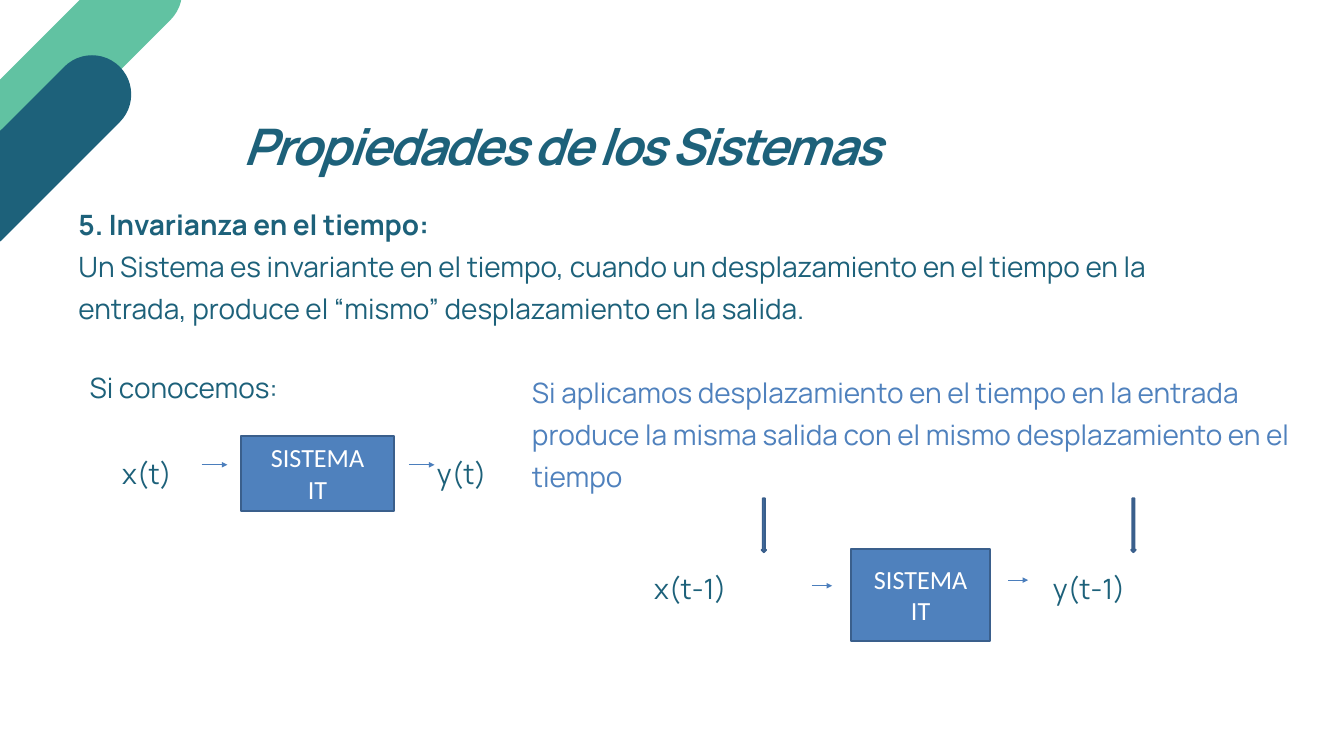
from lxml.etree import SubElement
from pptx import Presentation
from pptx.dml.color import RGBColor
from pptx.enum.shapes import MSO_CONNECTOR, MSO_SHAPE
from pptx.enum.text import MSO_ANCHOR, MSO_AUTO_SIZE, PP_ALIGN
from pptx.oxml.ns import qn
from pptx.util import Inches, Pt

TEAL, GREEN, BLUE, EDGE, WIRE = "1D617A", "61C2A2", "4F81BD", "3A5F8C", "4B7EBC"

deck = Presentation()
deck.slide_width, deck.slide_height = Inches(20), Inches(11.25)
CELL = deck.slide_width / 120  # square grid: 120 columns by 67.5 rows
slide = deck.slides.add_slide(deck.slide_layouts[5])
shapes = slide.shapes


def grid(*cells):
    return [round(n * CELL) for n in cells]


def write(shape, *lines, size=30, font="Manrope", color=TEAL, bold=(), italic=False,
          align=PP_ALIGN.LEFT, anchor=MSO_ANCHOR.TOP, pitch=45, inset=0):
    """Fill the shape with one paragraph per line; bold lists the bold line numbers."""
    frame = shape.text_frame
    frame.word_wrap = True
    frame.auto_size = MSO_AUTO_SIZE.NONE
    frame.vertical_anchor = anchor
    frame.margin_left = frame.margin_right = Inches(inset)
    frame.margin_top = frame.margin_bottom = Inches(inset / 2)
    frame.text = "\n".join(lines)
    for i, par in enumerate(frame.paragraphs):
        par.alignment = align
        if pitch:
            par.line_spacing = Pt(pitch)
        face = par.runs[0].font
        face.name, face.size = font, Pt(size)
        face.bold, face.italic = i in bold, italic
        face.color.rgb = RGBColor.from_string(color)


def draw(kind, *box, fill=BLUE, edge=EDGE):
    shape = shapes.add_shape(kind, *grid(*box))
    shape.shadow.inherit = False
    shape.fill.solid()
    shape.fill.fore_color.rgb = RGBColor.from_string(fill)
    if edge:
        shape.line.color.rgb = RGBColor.from_string(edge)
        shape.line.width = Pt(2)
    else:
        shape.line.fill.background()
    return shape


# Corner bars
for *box, fill in [(-7.9, 2.9, 27.1, 7, GREEN), (-8, 10.2, 21.9, 7, TEAL)]:
    bar = draw(MSO_SHAPE.ROUNDED_RECTANGLE, *box, fill=fill, edge=None)
    bar.adjustments[0] = 0.5
    bar.rotation = 315

# Title
title = shapes.title
title.left, title.top, title.width, title.height = grid(14, 8.3, 72.5, 7.2)
write(title, "Propiedades de los Sistemas", size=54, bold=[0], italic=True,
      align=PP_ALIGN.CENTER, pitch=88)
title.text_frame.paragraphs[0].runs[0].font._element.set("spc", "-240")

# Body text and signal names
notes = [
    ((7, 17.8, 100.5, 11.3), TEAL, [0], [
        "5. Invarianza en el tiempo:",
        "Un Sistema es invariante en el tiempo, cuando un desplazamiento en el tiempo "
        "en la entrada, produce el “mismo” desplazamiento en la salida."]),
    ((8, 32.3, 30, 3.8), TEAL, [], ["Si conocemos:"]),
    ((47.5, 32.8, 68.1, 11.3), BLUE, [], [
        "Si aplicamos desplazamiento en el tiempo en la entrada produce la misma "
        "salida con el mismo desplazamiento en el tiempo"]),
    ((10.9, 40, 7, 3.8), TEAL, [], ["x(t)"]),
    ((39, 40, 7, 3.8), TEAL, [], ["y(t)"]),
    ((58.4, 50.3, 10, 3.8), TEAL, [], ["x(t-1)"]),
    ((94, 50.3, 10, 3.8), TEAL, [], ["y(t-1)"]),
]
for box, color, bold, lines in notes:
    write(shapes.add_textbox(*grid(*box)), *lines, color=color, bold=bold)

# System blocks
for box in [(21.5, 38.9, 13.7, 6.7), (76, 49, 12.4, 8.2)]:
    write(draw(MSO_SHAPE.RECTANGLE, *box), "SISTEMA", "IT", size=28, font="Calibri",
          color="FFFFFF", align=PP_ALIGN.CENTER, anchor=MSO_ANCHOR.MIDDLE,
          pitch=None, inset=0.1)

# Signal arrows
for x, y, span in [(18, 41.5, 2.3), (36.5, 41.5, 2.3), (72.5, 52.3, 1.8), (90, 51.8, 1.8)]:
    wire = shapes.add_connector(MSO_CONNECTOR.STRAIGHT, *grid(x, y, x + span, y))
    wire.line.color.rgb = RGBColor.from_string(WIRE)
    wire.line.width = Pt(0.75)
    SubElement(wire.line._get_or_add_ln(), qn("a:tailEnd"), type="triangle")
    SubElement(wire._element.spPr, qn("a:effectLst"))

# Shift markers
for x in (68, 101):
    draw(MSO_SHAPE.DOWN_ARROW, x, 44.5, 0.4, 4.8)

deck.save("out.pptx")
